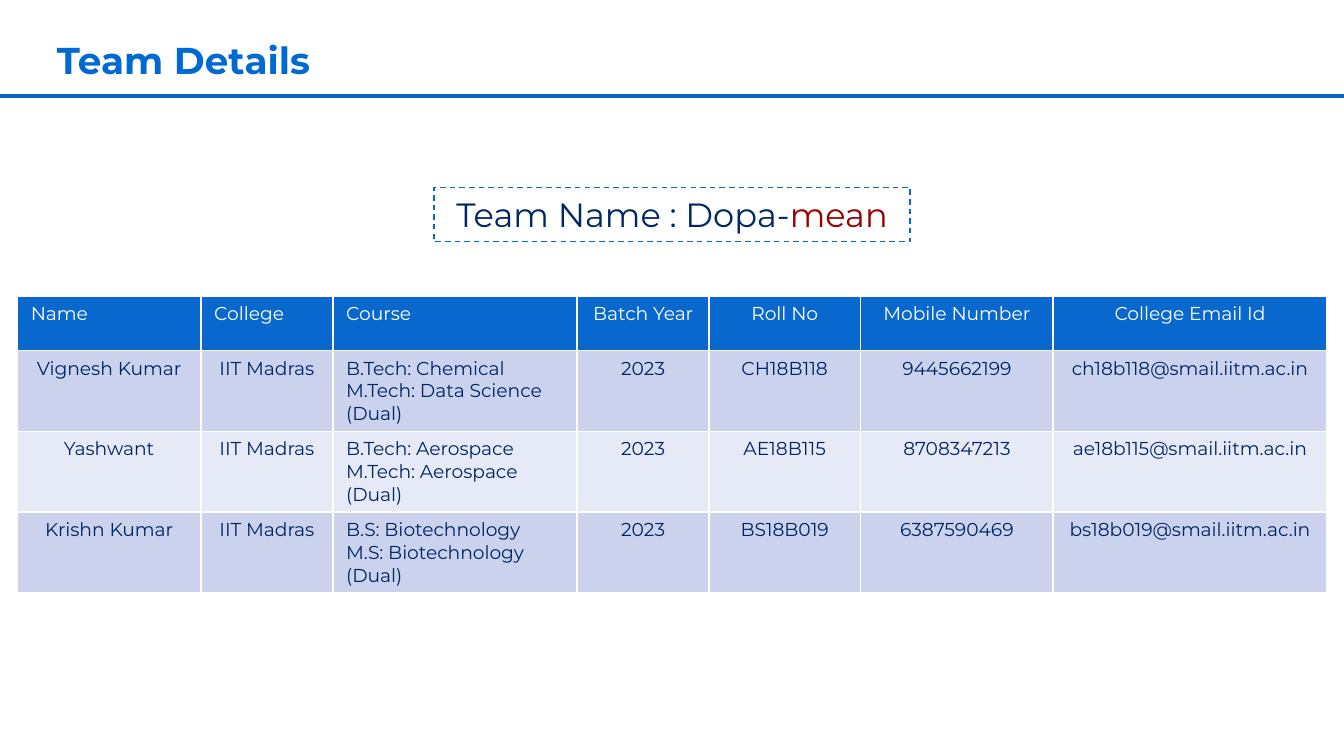
from lxml import etree
from pptx import Presentation
from pptx.dml.color import RGBColor
from pptx.enum import dml, shapes, text
from pptx.oxml import ns
from pptx.util import Pt

BLUE, TITLE_BLUE, NAVY, RED, WHITE = "0968CE", "006AD2", "002663", "990000", "FFFFFF"
BANDS = ["CAD2ED", "E6EAF6"]
LEFT, CENTER = text.PP_ALIGN.LEFT, text.PP_ALIGN.CENTER


def color(value):
    return RGBColor.from_string(value)


class SlideBuilder:
    font = "Montserrat"

    def __init__(self, slide):
        self.slide = slide

    def add_run(self, paragraph, words, size, hue, bold=False):
        run = paragraph.add_run()
        run.text = words
        run.font.name = self.font
        run.font.size = Pt(size)
        run.font.bold = bold
        run.font.color.rgb = color(hue)

    def title(self, words, left, top, width, height):
        shape = self.slide.shapes.add_textbox(Pt(left), Pt(top), Pt(width), Pt(height))
        frame = shape.text_frame
        frame.word_wrap = True
        frame.margin_left = frame.margin_right = 0
        frame.margin_top = frame.margin_bottom = 0
        paragraph = frame.paragraphs[0]
        paragraph.line_spacing = 0.82
        self.add_run(paragraph, words, 20, TITLE_BLUE, bold=True)

    def rule(self, left, right, y):
        connector = self.slide.shapes.add_connector(
            shapes.MSO_CONNECTOR.STRAIGHT, Pt(left), Pt(y), Pt(right), Pt(y))
        connector.line.color.rgb = color(BLUE)
        connector.line.width = Pt(2)
        etree.SubElement(connector._element.spPr, ns.qn("a:effectLst"))

    def dashed_box(self, runs, left, top, width, height):
        shape = self.slide.shapes.add_shape(
            shapes.MSO_SHAPE.RECTANGLE, Pt(left), Pt(top), Pt(width), Pt(height))
        shape.shadow.inherit = False
        shape.fill.background()
        shape.line.color.rgb = color(TITLE_BLUE)
        shape.line.width = Pt(0.75)
        shape.line.dash_style = dml.MSO_LINE.DASH
        frame = shape.text_frame
        frame.word_wrap = True
        frame.auto_size = text.MSO_AUTO_SIZE.SHAPE_TO_FIT_TEXT
        frame.vertical_anchor = text.MSO_ANCHOR.TOP
        paragraph = frame.paragraphs[0]
        paragraph.alignment = CENTER
        for words, hue in runs:
            self.add_run(paragraph, words, 18, hue)

    def cell(self, cell, words, fill, hue, alignment):
        cell.fill.solid()
        cell.fill.fore_color.rgb = color(fill)
        for index, line in enumerate(words.split("\n")):
            frame = cell.text_frame
            paragraph = frame.add_paragraph() if index else frame.paragraphs[0]
            paragraph.alignment = alignment
            self.add_run(paragraph, line, 10, hue)

    def table(self, rows, left, top, widths, row_height):
        table = self.slide.shapes.add_table(
            len(rows), len(widths), Pt(left), Pt(top),
            Pt(sum(widths)), Pt(row_height * len(rows))).table
        for column, width in zip(table.columns, widths):
            column.width = Pt(width)
        for r, row in enumerate(rows):
            fill = BANDS[(r - 1) % 2] if r else BLUE
            hue = NAVY if r else WHITE
            left_columns = [2] if r else [0, 1, 2]
            for c, words in enumerate(row):
                alignment = LEFT if c in left_columns else CENTER
                self.cell(table.cell(r, c), words, fill, hue, alignment)


def main():
    presentation = Presentation()
    presentation.slide_width, presentation.slide_height = Pt(720), Pt(405)
    slide = presentation.slides.add_slide(presentation.slide_layouts[6])
    builder = SlideBuilder(slide)

    # Heading
    builder.title("Team Details", 30.5, 24, 648, 30)
    builder.rule(0, 720, 51.5)

    # Team members
    members = [
        ("Vignesh Kumar", "B.Tech: Chemical\nM.Tech: Data Science", "CH18B118", "9445662199"),
        ("Yashwant", "B.Tech: Aerospace\nM.Tech: Aerospace", "AE18B115", "8708347213"),
        ("Krishn Kumar", "B.S: Biotechnology\nM.S: Biotechnology", "BS18B019", "6387590469"),
    ]
    rows = [("Name", "College", "Course", "Batch Year", "Roll No",
             "Mobile Number", "College Email Id")]
    for name, course, roll, mobile in members:
        rows.append((name, "IIT Madras", course + "\n(Dual)", "2023", roll,
                     mobile, roll.lower() + "@smail.iitm.ac.in"))
    builder.table(rows, 9.3, 158.5, [98.3, 70.7, 131, 70.5, 81.2, 103.3, 146.5], 29.3)

    # Team name
    builder.dashed_box([("Team Name : Dopa-", NAVY), ("mean", RED)], 232.4, 100.5, 255.2, 29)

    presentation.save("out.pptx")


if __name__ == "__main__":
    main()
